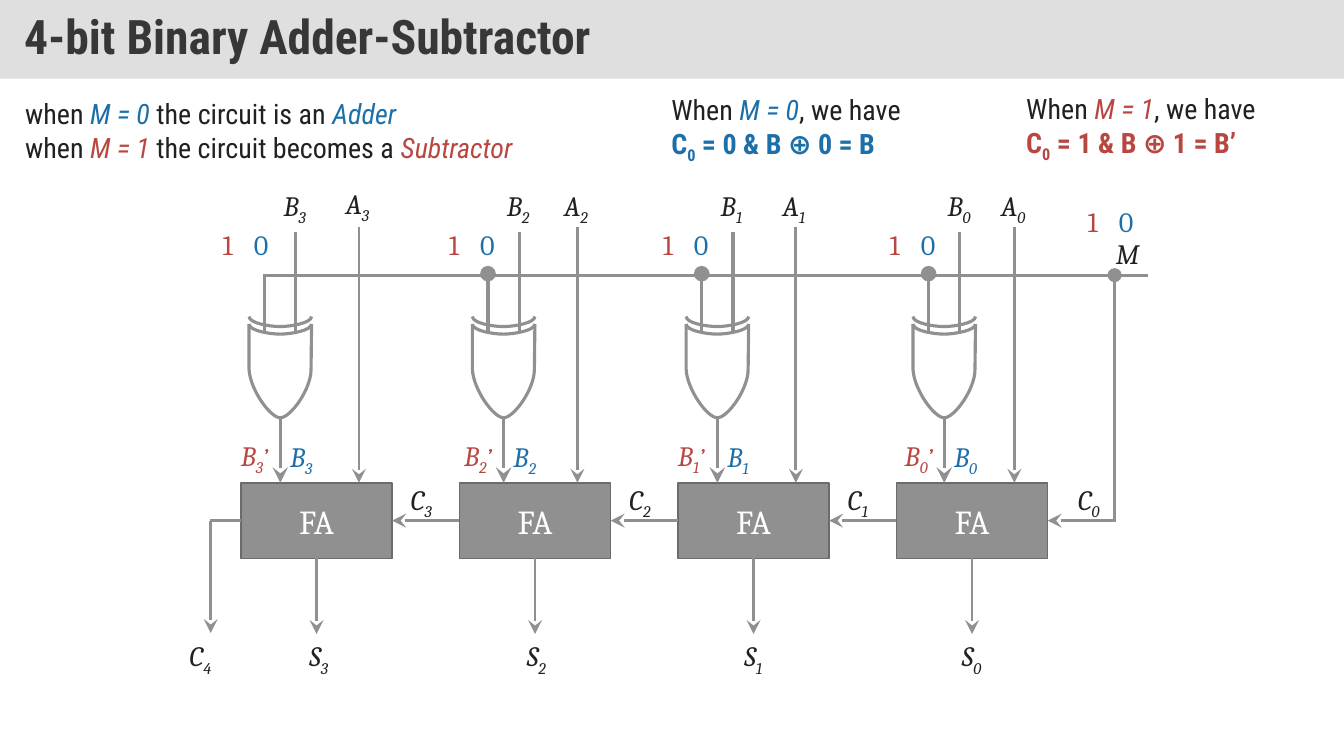
from lxml import etree
from pptx import Presentation
from pptx import util as u
from pptx.dml.color import RGBColor
from pptx.enum import shapes, text
from pptx.oxml import ns

GREY = RGBColor(0x90, 0x90, 0x90)
EDGE = RGBColor(0x6B, 0x6B, 0x6B)
BAND = RGBColor(0xC0, 0xC0, 0xC0)
TITLE = RGBColor(0x37, 0x37, 0x37)
INK = RGBColor(0x21, 0x21, 0x21)
BLUE = RGBColor(0x1D, 0x6F, 0xA9)
RED = RGBColor(0xB8, 0x47, 0x42)
WHITE = RGBColor(0xFF, 0xFF, 0xFF)

CELL = u.Inches(0.1)
COLUMNS, ROWS = 133.3, 75
ADDER_LEFT, ADDER_PITCH, ADDER_TOP = 23.9, 21.67, 47.9
ADDER_WIDTH, ADDER_HEIGHT = 15, 7.5
ADDER_MIDDLE = ADDER_TOP + ADDER_HEIGHT / 2
GATE_CENTRES = [27.8, 49.95, 71.15, 93.65]
GATE_TOP = 32.15
BUS_ROW, BUS_LEFT, BUS_RIGHT, MODE_COLUMN = 27.3, 26.3, 113.9, 110.55
LABEL_HEIGHT = 4.4

MATH = {"size": u.Pt(20), "name": "Cambria"}
SYMBOL = {**MATH, "italic": True}
PROSE = {"size": u.Pt(20), "name": "Roboto Condensed"}


def cells(*counts):
    return [round(count * CELL) for count in counts]


def add_xml(parent, tag, **attributes):
    return etree.SubElement(parent, ns.qn(tag), attributes)


def write_span(para, words, color, values, baseline=0):
    span = para.add_run()
    span.text = words
    for name, value in values.items():
        setattr(span.font, name, value)
    span.font.color.rgb = color
    if baseline:
        span.font._element.set("baseline", str(baseline))


def add_box(page, place, wrap=False):
    box = page.shapes.add_textbox(*cells(*place))
    box.text_frame.word_wrap = wrap
    box.text_frame.auto_size = text.MSO_AUTO_SIZE.SHAPE_TO_FIT_TEXT
    return box


def add_label(page, left, top, width, letter, sub="", color=INK, prime=""):
    box = add_box(page, (left, top, width, LABEL_HEIGHT))
    para = box.text_frame.paragraphs[0]
    values = MATH if letter.isdigit() else SYMBOL
    write_span(para, letter, color, values)
    if sub:
        write_span(para, sub, color, values, -25000)
    if prime:
        write_span(para, prime, color, {**values, "size": u.Pt(18)})


def add_note(page, place, lines, indent=0, inset=1):
    frame = add_box(page, place, wrap=True).text_frame
    frame.margin_left = cells(inset)[0]
    for number, spans in enumerate(lines):
        para = frame.add_paragraph() if number else frame.paragraphs[0]
        para._p.get_or_add_pPr().set("marL", str(cells(indent)[0]))
        for words, color, values, *baseline in spans:
            write_span(para, words, color, {**PROSE, **values}, *baseline)


def add_block(page, place, fill, words, color, values):
    block = page.shapes.add_shape(shapes.MSO_SHAPE.RECTANGLE, *cells(*place))
    block.shadow.inherit = False
    block.fill.solid()
    block.fill.fore_color.rgb = fill
    block.text_frame.vertical_anchor = text.MSO_ANCHOR.MIDDLE
    write_span(block.text_frame.paragraphs[0], words, color, values)
    return block


def add_title(page):
    band = add_block(page, (0, 0, COLUMNS, 7.8), BAND, "4-bit Binary Adder-Subtractor", TITLE,
                     {"size": u.Pt(34), "name": "Roboto Condensed", "bold": True})
    band.line.fill.background()
    add_xml(band.fill._xPr.find(".//" + ns.qn("a:srgbClr")), "a:alpha", val="50000")
    band.text_frame.margin_left = band.text_frame.margin_right = cells(2.4)[0]
    para = band.text_frame.paragraphs[0]
    para.alignment = text.PP_ALIGN.LEFT
    para.line_spacing = 0.9


def add_adder(page, left):
    adder = add_block(page, (left, ADDER_TOP, ADDER_WIDTH, ADDER_HEIGHT), GREY, "FA", WHITE,
                      {**MATH, "size": u.Pt(24)})
    adder.line.color.rgb = EDGE
    adder.line.width = u.Pt(1)
    adder.text_frame.paragraphs[0].alignment = text.PP_ALIGN.CENTER
    return adder


def add_wire(page, start, end, width=2, head=None, tail=None, source=None, target=None):
    wire = page.shapes.add_connector(shapes.MSO_CONNECTOR.STRAIGHT, *cells(*start, *end))
    wire.line.color.rgb = GREY
    wire.line.width = u.Pt(width)
    outline = wire.line._get_or_add_ln()
    for tag, kind in (("a:headEnd", head), ("a:tailEnd", tail)):
        if kind:
            add_xml(outline, tag, type=kind, w="lg", len="lg")
    add_xml(wire._element.spPr, "a:effectLst")
    if source:
        wire.begin_connect(*source)
    if target:
        wire.end_connect(*target)


def bend(curve, starts):
    segments = curve._element.findall(".//" + ns.qn("a:lnTo"))
    for start in starts:
        first, *others = segments[start:start + 3]
        cubic = etree.Element(ns.qn("a:cubicBezTo"))
        first.addprevious(cubic)
        for segment in (first, *others):
            cubic.append(segment[0])
            segment.getparent().remove(segment)


def add_curve(page, centre, points, bends):
    first, *rest = [cells(centre + x, GATE_TOP + y) for x, y in points]
    builder = page.shapes.build_freeform(*first, scale=1.0)
    builder.add_line_segments(rest, close=False)
    curve = builder.convert_to_shape()
    bend(curve, bends)
    curve.shadow.inherit = False
    curve.fill.background()
    curve.line.color.rgb = GREY
    curve.line.width = u.Pt(2.25)


def add_gate(page, centre, head):
    add_wire(page, (centre - 1.55, 27.15), (centre - 1.55, 33.05), 2.25, head=head)
    add_wire(page, (centre + 1.55, 23.05), (centre + 1.55, 33.05), 2.25)
    add_wire(page, (centre, 41.45), (centre, ADDER_TOP), 2.25, tail="stealth")
    add_curve(page, centre, [
        (3.1, 0), (3.05, 4.5), (3.05, 6.5), (1, 9.3), (0, 9.3),
        (-1, 9.3), (-3, 6.5), (-3.1, 4.5), (-3.1, 0)], bends=(1, 4))
    for lift in (0, -0.75):
        add_curve(page, centre, [
            (-3.1, lift), (-3.1, lift + 0.65), (-1.1, lift + 1), (0, lift + 1),
            (1, lift + 1), (3.1, lift + 0.65), (3.1, lift)], bends=(0, 3))


def add_stage(page, stage, centre, last_adder):
    bit = str(3 - stage)
    left = ADDER_LEFT + stage * ADDER_PITCH
    middle = left + ADDER_WIDTH / 2
    mode_left = centre - (3.3 if stage else 3.6)
    adder = add_adder(page, left)
    add_wire(page, (left + 11.7, 22.5), (left + 11.7, ADDER_TOP), tail="stealth")
    add_wire(page, (middle, ADDER_TOP + ADDER_HEIGHT), (middle, 62.9), tail="stealth",
             source=(adder, 2))
    if last_adder:
        add_wire(page, (left, ADDER_MIDDLE), (left - 6.6, ADDER_MIDDLE), tail="stealth",
                 source=(adder, 1), target=(last_adder, 3))
    add_gate(page, centre, "oval" if stage else None)
    add_label(page, left + 9.4, 18.2 if stage else 18, 4.6, "A", bit)
    add_label(page, centre - 0.65, 18.2, 4.6, "B", bit)
    add_label(page, 29.7 + 21.57 * stage, 62.9, 4.4, "S", bit)
    add_label(page, left + (15.85 if stage < 3 else 17), 47.4, 4.5, "C", bit)
    add_label(page, mode_left, 22.1, 3.6, "0", color=BLUE)
    add_label(page, mode_left - 3.1, 22.1, 3.6, "1", color=RED)
    add_label(page, centre, 43.1, 4.6, "B", bit, BLUE)
    add_label(page, centre - 4.9, 43, 5.3, "B", bit, RED, "’")
    return adder


def add_mode_line(page, first_adder, last_adder):
    add_wire(page, (BUS_RIGHT, BUS_ROW), (BUS_LEFT, BUS_ROW))
    add_wire(page, (MODE_COLUMN, BUS_ROW), (MODE_COLUMN, ADDER_MIDDLE + 0.1), head="oval")
    add_wire(page, (MODE_COLUMN, ADDER_MIDDLE), (104, ADDER_MIDDLE), tail="stealth",
             target=(last_adder, 3))
    add_wire(page, (ADDER_LEFT, ADDER_MIDDLE), (20.8, ADDER_MIDDLE), source=(first_adder, 1))
    add_wire(page, (20.9, ADDER_MIDDLE), (20.9, 62.8), tail="stealth")
    add_label(page, 17.8, 62.9, 4.5, "C", "4")
    add_label(page, 109.7, 23, 4.2, "M")
    add_label(page, 110, 19.8, 3.6, "0", color=BLUE)
    add_label(page, 106.9, 19.8, 3.6, "1", color=RED)


def add_notes(page):
    slanted, strong = {"italic": True}, {"bold": True}
    add_note(page, (2.5, 9.1, 51.7, 7.7), [
        [("when ", INK, {}), ("M = 0", BLUE, slanted),
         (" the circuit is an ", INK, {}), ("Adder", BLUE, slanted)],
        [("when ", INK, {}), ("M = 1 ", RED, slanted),
         ("the circuit becomes a ", INK, {}), ("Subtractor", RED, slanted)]], inset=0)
    for place, mode, result, color in (((60.6, 8.7, 32.4, 7.7), "0", "B", BLUE),
                                       ((95.8, 8.6, 32.1, 7.7), "1", "B’", RED)):
        add_note(page, place, [
            [("When ", INK, {}), (f"M = {mode}", color, slanted), (", we have", INK, {})],
            [("C", color, strong), ("0", color, strong, -25000),
             (f" = {mode} & B ⊕ {mode} = {result}", color, strong)]], indent=5)


def main():
    deck = Presentation()
    deck.slide_width, deck.slide_height = cells(COLUMNS, ROWS)
    page = deck.slides.add_slide(deck.slide_layouts[6])
    add_title(page)
    adders = [None]
    for stage, centre in enumerate(GATE_CENTRES):
        adders.append(add_stage(page, stage, centre, adders[-1]))
    add_mode_line(page, adders[1], adders[-1])
    add_notes(page)
    deck.save("out.pptx")


if __name__ == "__main__":
    main()
